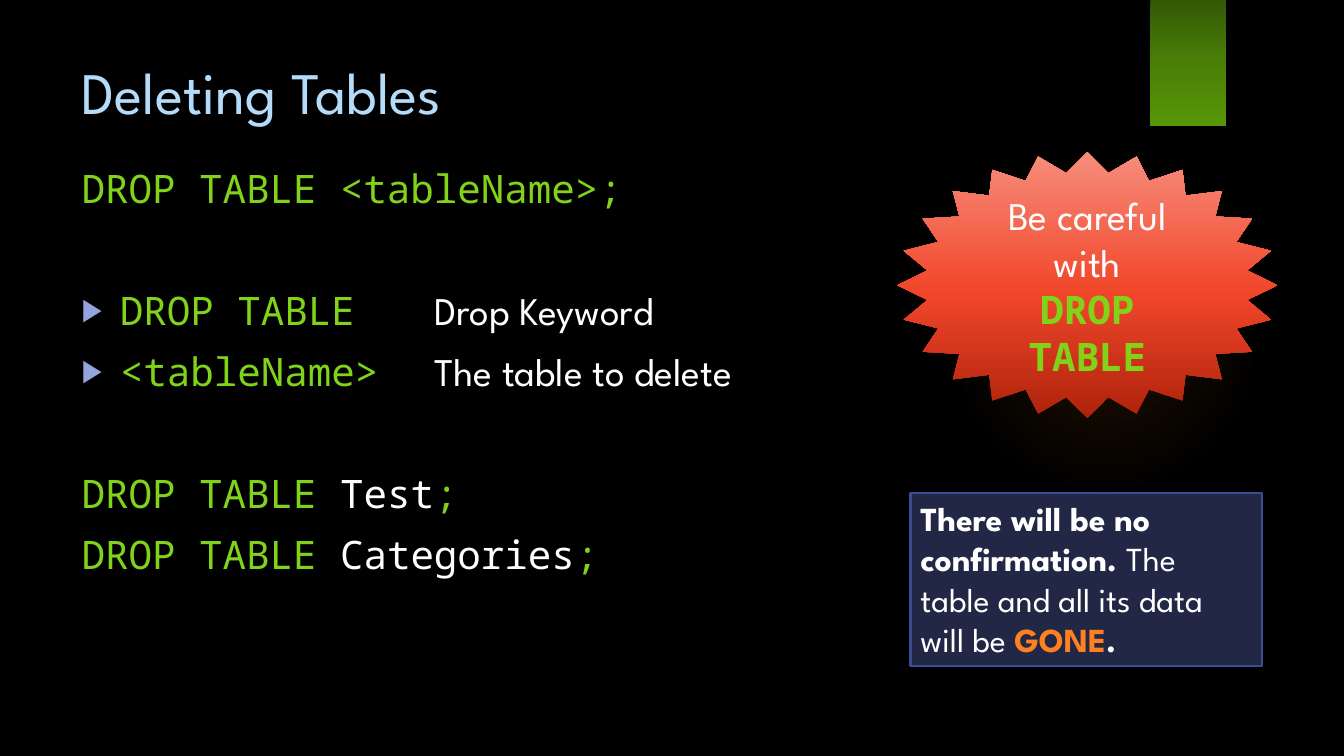
from lxml.etree import SubElement
from pptx import Presentation
from pptx.dml.color import RGBColor
from pptx.enum.shapes import MSO_SHAPE
from pptx.enum.text import MSO_ANCHOR, MSO_AUTO_SIZE, PP_ALIGN
from pptx.oxml.ns import qn
from pptx.util import Inches, Pt

SANS, MONO = "League Spartan", "Noto Sans Mono"
WHITE, GREEN, ORANGE = "FFFFFF", "81D31A", "FF8021"
CODE = {"name": MONO, "color": GREEN}
NAME = {"name": MONO, "color": WHITE}
PLAIN = {"name": SANS, "color": WHITE}
LINE_HEIGHT = 1.2
PARAGRAPH_GAP = 10
BODY_SIZE = 28


def rgb(value):
    return RGBColor.from_string(value)


def child(parent, tag, **attributes):
    return SubElement(parent, qn(tag), {key: str(value) for key, value in attributes.items()})


def place(shape, left, top, width, height):
    shape.left, shape.top = Inches(left), Inches(top)
    shape.width, shape.height = Inches(width), Inches(height)


def add_span(para, text, style, size):
    span = para.add_run()
    span.text = text
    values = {"size": Pt(size), **style}
    span.font.color.rgb = rgb(values.pop("color"))
    for key, value in values.items():
        setattr(span.font, key, value)


def fill_paragraph(para, spans, size, before=0, align=PP_ALIGN.LEFT):
    values = {"alignment": align, "line_spacing": Pt(size * LINE_HEIGHT),
              "space_before": Pt(before), "space_after": Pt(0)}
    for key, value in values.items():
        setattr(para, key, value)
    for text, style in spans:
        add_span(para, text, style, style.get("size", Pt(size)).pt)


def set_bullet(para, bulleted):
    properties = para._p.get_or_add_pPr()
    indent = Inches(0.38) if bulleted else 0
    properties.set("marL", str(indent))
    properties.set("indent", str(-indent))
    if not bulleted:
        child(properties, "a:buNone")
        return
    child(child(properties, "a:buClr"), "a:srgbClr", val="95A4DE")
    child(properties, "a:buSzPct", val=80000)
    child(properties, "a:buChar", char="▶")
    child(child(properties, "a:tabLst"), "a:tab", pos=Inches(3.5), algn="l")


def set_gradient(shape, stops, angle=None):
    shape.fill.gradient()
    gradient = shape._element.spPr.find(qn("a:gradFill"))
    for part in list(gradient):
        gradient.remove(part)
    stop_list = child(gradient, "a:gsLst")
    for position, color, alpha in stops:
        stop = child(stop_list, "a:gs", pos=position * 1000)
        child(child(stop, "a:srgbClr", val=color), "a:alpha", val=alpha * 1000)
    if angle is None:
        circle = child(gradient, "a:path", path="circle")
        child(circle, "a:fillToRect", l=50000, t=50000, r=50000, b=50000)
    else:
        child(gradient, "a:lin", ang=angle * 60000, scaled=0)


def add_figure(page, kind, left, top, width, height):
    shape = page.shapes.add_shape(kind, Inches(left), Inches(top), Inches(width), Inches(height))
    shape.shadow.inherit = False
    shape.line.fill.background()
    return shape


def add_decoration(page):
    glow = add_figure(page, MSO_SHAPE.OVAL, 9.41, 1.83, 3.08, 3.08)
    set_gradient(glow, [(0, ORANGE, 7), (36, ORANGE, 6), (69, ORANGE, 0)])
    ribbon = add_figure(page, MSO_SHAPE.RECTANGLE, 11.41, 0, 0.75, 1.25)
    set_gradient(ribbon, [(0, "345905", 100), (50, "4A7F07", 100), (100, "579608", 100)], 90)


def add_title(page):
    title = page.shapes.title
    place(title, 0.71, 0.5, 10.29, 0.81)
    title.text_frame.auto_size = MSO_AUTO_SIZE.NONE
    title.text_frame.vertical_anchor = MSO_ANCHOR.MIDDLE
    fill_paragraph(title.text_frame.paragraphs[0],
                   [("Deleting Tables", {"name": SANS, "color": "B4DCFA"})], 42)


def add_body(page):
    body = page.placeholders[1]
    place(body, 0.71, 1.58, 12.06, 5.92)
    frame = body.text_frame
    frame.auto_size = MSO_AUTO_SIZE.NONE
    section_gap = 2 * PARAGRAPH_GAP + BODY_SIZE * LINE_HEIGHT
    rows = [
        (0, False, [("DROP TABLE <tableName>;", CODE)]),
        (section_gap, True, [("DROP TABLE", CODE), ("\tDrop Keyword", PLAIN)]),
        (PARAGRAPH_GAP, True, [("<tableName>", CODE), ("\tThe table to delete", PLAIN)]),
        (section_gap, False, [("DROP TABLE ", CODE), ("Test", NAME), (";", CODE)]),
        (PARAGRAPH_GAP, False, [("DROP TABLE ", CODE), ("Categories", NAME), (";", CODE)]),
    ]
    for index, (before, bulleted, spans) in enumerate(rows):
        para = frame.add_paragraph() if index else frame.paragraphs[0]
        fill_paragraph(para, spans, BODY_SIZE, before)
        set_bullet(para, bulleted)


def add_warning_star(page):
    star = add_figure(page, MSO_SHAPE.STAR_24_POINT, 8.9, 1.51, 3.77, 2.64)
    star.adjustments[0] = 0.424
    set_gradient(star, [(0, "AE220B", 100), (48, "F1472B", 100), (100, "F78D7C", 100)], 270)
    frame = star.text_frame
    frame.word_wrap = True
    frame.vertical_anchor = MSO_ANCHOR.MIDDLE
    para = frame.paragraphs[0]
    keyword = {**CODE, "bold": True}
    fill_paragraph(para, [("Be careful with", PLAIN)], 28, align=PP_ALIGN.CENTER)
    para.add_line_break()
    for text, size in [("DROP", 28), (" ", 16), ("TABLE", 28)]:
        add_span(para, text, keyword, size)


def add_note(page):
    note = add_figure(page, MSO_SHAPE.RECTANGLE, 9.03, 4.89, 3.49, 1.72)
    note.fill.solid()
    note.fill.fore_color.rgb = rgb("212745")
    note.line.color.rgb = rgb("3A4C94")
    note.line.width = Pt(1.5)
    frame = note.text_frame
    frame.word_wrap = True
    frame.vertical_anchor = MSO_ANCHOR.TOP
    bold = {**PLAIN, "bold": True}
    fill_paragraph(frame.paragraphs[0], [
        ("There will be no confirmation. ", bold),
        ("The table and all its data will be ", PLAIN),
        ("GONE", {**bold, "color": ORANGE}),
        (".", bold),
    ], 24)


def main():
    deck = Presentation()
    deck.slide_width, deck.slide_height = Inches(13.33), Inches(7.5)
    page = deck.slides.add_slide(deck.slide_layouts[1])
    page.background.fill.solid()
    page.background.fill.fore_color.rgb = rgb("000000")
    add_decoration(page)
    add_title(page)
    add_body(page)
    add_warning_star(page)
    add_note(page)
    deck.save("out.pptx")


if __name__ == "__main__":
    main()
